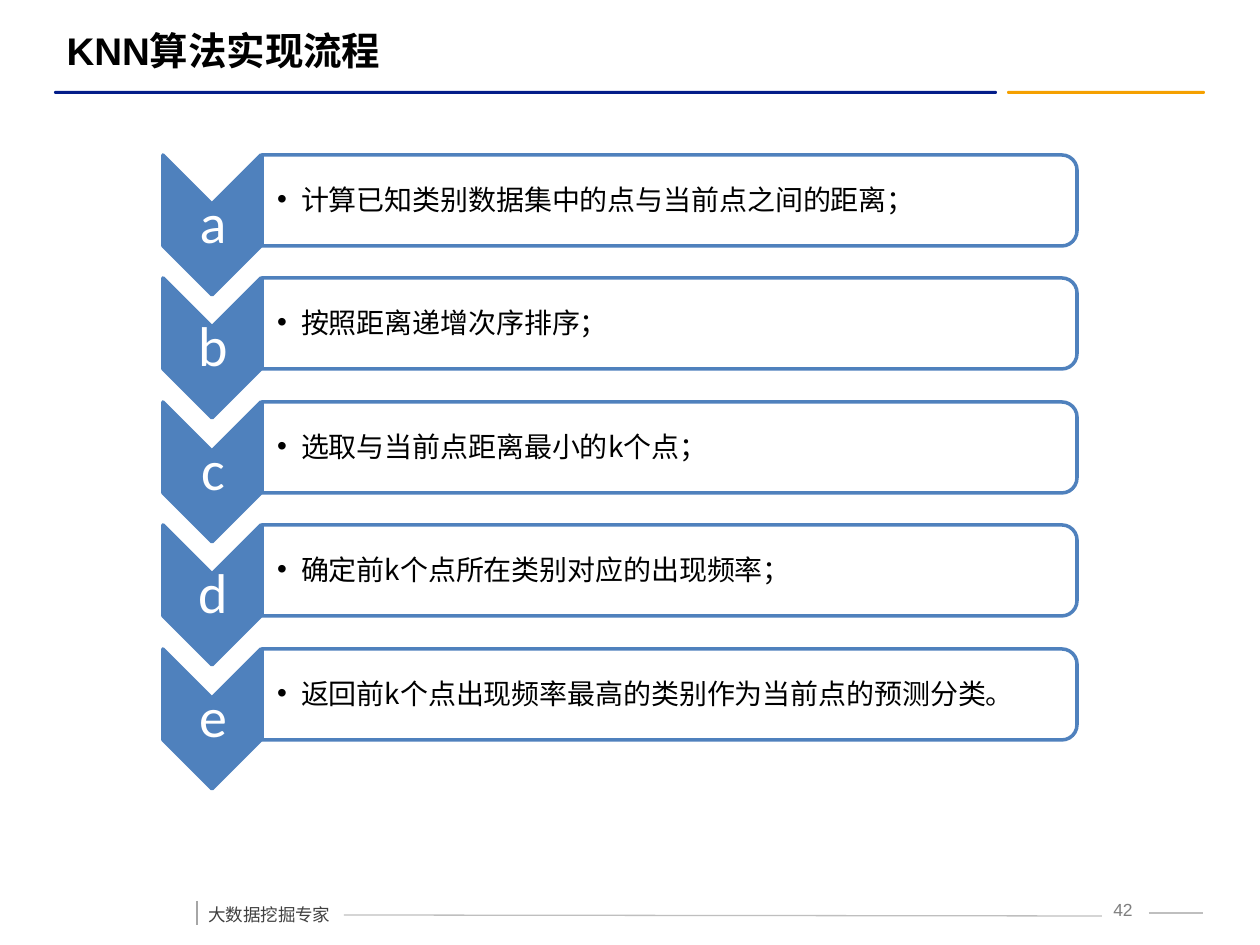
from pptx import Presentation
from pptx.dml.color import RGBColor
from pptx.enum.shapes import MSO_CONNECTOR as Conn, MSO_SHAPE as Shape
from pptx.enum.text import MSO_ANCHOR as Anchor, PP_ALIGN as Align
from pptx.oxml.ns import qn
from pptx.util import Emu, Pt
from lxml.etree import SubElement

WHITE = RGBColor(0xFF, 0xFF, 0xFF)
BLACK = RGBColor(0, 0, 0)
BLUE = RGBColor(0x4F, 0x81, 0xBD)
NAVY = RGBColor(0x03, 0x1D, 0x89)
AMBER = RGBColor(0xF5, 0xA0, 0x00)
SILVER = RGBColor(0xBF, 0xBF, 0xBF)
ASH = RGBColor(0xA6, 0xA6, 0xA6)
GREY = RGBColor(0x7F, 0x7F, 0x7F)
DARK = RGBColor(0x40, 0x40, 0x40)
HAN = "Noto Sans CJK SC"

STEPS = [
    ("a", "计算已知类别数据集中的点与当前点之间的距离；"),
    ("b", "按照距离递增次序排序；"),
    ("c", "选取与当前点距离最小的k个点；"),
    ("d", "确定前k个点所在类别对应的出现频率；"),
    ("e", "返回前k个点出现频率最高的类别作为当前点的预测分类。"),
]
SPAN = 494  # from the first step to the last


def px(*sizes):
    return [Emu(round(n * 914400 / 126)) for n in sizes]


def style(para, size, color, font, bold=False):
    for run in para.runs:
        face = run.font
        face.size, face.name, face.bold = Pt(size), font, bold
        face.color.rgb = color
        SubElement(run._r.get_or_add_rPr(), qn("a:ea")).set("typeface", HAN)


def add_text(slide, box, text, size, color, font=HAN, align=Align.LEFT,
             anchor=Anchor.TOP, pad=None, wrap=True):
    """Add a one-paragraph text box and return the paragraph."""
    frame = slide.shapes.add_textbox(*px(*box)).text_frame
    frame.word_wrap = wrap
    frame.vertical_anchor = anchor
    if pad:
        (frame.margin_left, frame.margin_top,
         frame.margin_right, frame.margin_bottom) = px(*pad)
    para = frame.paragraphs[0]
    para.text = text
    para.alignment = align
    style(para, size, color, font)
    return para


def add_shape(slide, kind, box, fill, line=None, turn=0):
    shape = slide.shapes.add_shape(kind, *px(*box))
    shape.shadow.inherit = False
    shape.rotation = turn
    shape.fill.solid()
    shape.fill.fore_color.rgb = fill
    if line:
        shape.line.color.rgb = line
        shape.line.width = Pt(2)
    else:
        shape.line.fill.background()
    return shape


def add_line(slide, ends, color):
    line = slide.shapes.add_connector(Conn.STRAIGHT, *px(*ends))
    line.line.color.rgb = color
    line.line.width = Pt(0.75)
    SubElement(line._element.spPr, qn("a:effectLst"))


def add_bullet(para):
    props = para._p.get_or_add_pPr()
    indent = px(24)[0]
    props.set("marL", str(indent))
    props.set("indent", str(-indent))
    SubElement(props, qn("a:buFont")).set("typeface", "Arial")
    SubElement(props, qn("a:buChar")).set("char", "•")


def add_title(slide, text):
    title = slide.shapes.title
    title.left, title.top, title.width, title.height = px(54, 21, 1147, 59)
    frame = title.text_frame
    frame.text = text
    frame.vertical_anchor = Anchor.MIDDLE
    para = frame.paragraphs[0]
    para.alignment = Align.LEFT
    style(para, 22, BLACK, "Arial", bold=True)
    for left, width, color in ((1007, 198, AMBER), (54, 943, NAVY)):
        rule = add_shape(slide, Shape.ROUNDED_RECTANGLE,
                         (left, 91, width, 3), color)
        rule.adjustments[0] = 0.5


def add_footer(slide):
    add_line(slide, (344, 915, 1102, 916), SILVER)
    add_line(slide, (1149, 913, 1203, 913), SILVER)
    add_line(slide, (197, 901, 197, 925), ASH)
    add_text(slide, (1093, 893, 60, 32), "42", 10, GREY, "Arial", Align.CENTER)
    para = add_text(slide, (196, 887, 149, 44), "大数据挖掘专家", 10, DARK,
                    wrap=False)
    para.line_spacing = 1.5
    para.space_before = Pt(6)


def add_step(slide, top, mark, text):
    """Add a down chevron with its letter, and the box beside it."""
    add_shape(slide, Shape.CHEVRON, (142, top + 21, 140, 98), BLUE, BLUE, 90)
    letter = add_text(slide, (164, top + 49, 98, 42), mark, 32, WHITE,
                      "Calibri", Align.CENTER, Anchor.MIDDLE, (3, 3, 3, 3))
    add_shape(slide, Shape.ROUND_2_SAME_RECTANGLE,
              (624, top - 362, 91, 815), WHITE, BLUE, 90)
    label = add_text(slide, (262, top + 5, 810, 82), text, 16, BLACK,
                     anchor=Anchor.MIDDLE, pad=(15, 1, 1, 1))
    letter.line_spacing = label.line_spacing = 0.9
    add_bullet(label)


def main():
    deck = Presentation()
    deck.slide_width, deck.slide_height = px(1260, 945)
    slide = deck.slides.add_slide(deck.slide_layouts[5])
    add_title(slide, "KNN算法实现流程")
    add_footer(slide)
    for i, (mark, text) in enumerate(STEPS):
        add_step(slide, 155 + SPAN * i // (len(STEPS) - 1), mark, text)
    deck.save("out.pptx")


if __name__ == "__main__":
    main()
